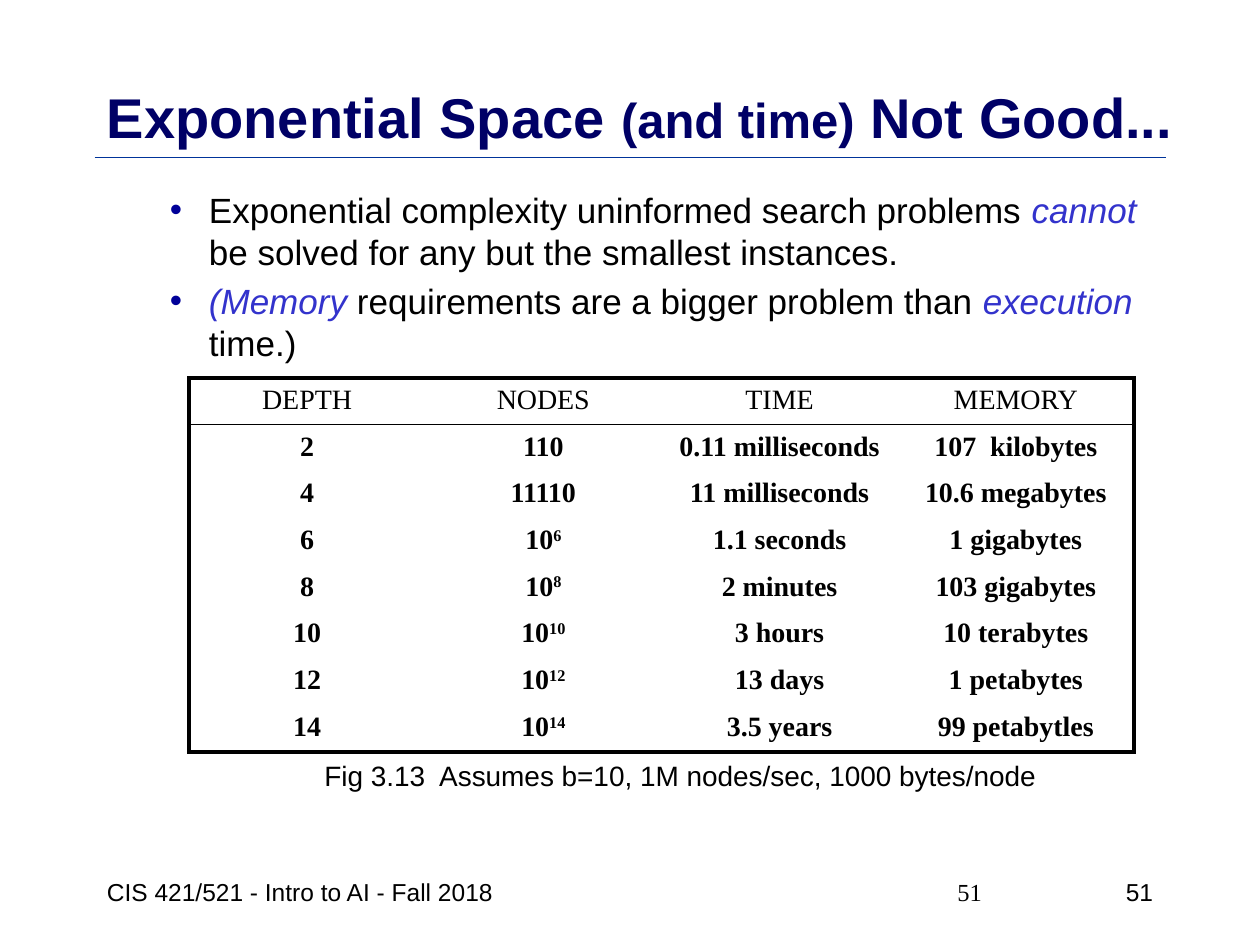
from lxml import etree
from pptx import Presentation
from pptx.dml.color import RGBColor
from pptx.enum.shapes import MSO_CONNECTOR
from pptx.enum.text import MSO_ANCHOR, PP_ALIGN
from pptx.oxml.ns import qn
from pptx.util import Inches, Pt

STRAIGHT = MSO_CONNECTOR.STRAIGHT
LEFT, CENTER, RIGHT = PP_ALIGN.LEFT, PP_ALIGN.CENTER, PP_ALIGN.RIGHT
TOP, MIDDLE = MSO_ANCHOR.TOP, MSO_ANCHOR.MIDDLE
SANS, SERIF = "Arial", "Times New Roman"

COLORS = {
    "text": "000000",
    "title": "000066",
    "rule": "003399",
    "bullet": "000099",
    "emphasis": "3333CC",
}
EMPHASIS = {"color": "emphasis", "italic": True}
FRAME_WIDTH, HEADER_RULE_WIDTH = 2.25, 1

TITLE = [("Exponential Space ", {}), ("(and time)", {"size": 28}), (" Not Good...", {})]
BULLETS = [
    [("Exponential complexity uninformed search problems ", {}),
     ("cannot ", EMPHASIS),
     ("be solved for any but the smallest instances.", {})],
    [("(Memory ", EMPHASIS),
     ("requirements are a bigger problem than ", {}),
     ("execution ", EMPHASIS),
     ("time.)", {})],
]
# "^" marks the start of an exponent
COSTS = [
    ("DEPTH", "NODES", "TIME", "MEMORY"),
    ("2", "110", "0.11 milliseconds", "107  kilobytes"),
    ("4", "11110", "11 milliseconds", "10.6 megabytes"),
    ("6", "10^6", "1.1 seconds", "1 gigabytes"),
    ("8", "10^8", "2 minutes", "103 gigabytes"),
    ("10", "10^10", "3 hours", "10 terabytes"),
    ("12", "10^12", "13 days", "1 petabytes"),
    ("14", "10^14", "3.5 years", "99 petabytles"),
]


def rgb(name):
    return RGBColor.from_string(COLORS[name])


def add_run(paragraph, text, size=16, font=SANS, color="text", bold=False,
            italic=False, superscript=False):
    run = paragraph.add_run()
    run.text = text
    run.font.size = Pt(size)
    run.font.name = font
    run.font.bold = bold
    run.font.italic = italic
    run.font.color.rgb = rgb(color)
    if superscript:
        run.font._element.set("baseline", "30000")


def add_text(slide, paragraphs, left, top, width, height, align=LEFT,
             anchor=MIDDLE, bullets=False, wrap=True, **style):
    """Each paragraph is a list of (text, format changes) pairs."""
    frame = slide.shapes.add_textbox(
        Inches(left), Inches(top), Inches(width), Inches(height)).text_frame
    frame.word_wrap = wrap
    frame.vertical_anchor = anchor
    for index, runs in enumerate(paragraphs):
        paragraph = frame.paragraphs[0] if index == 0 else frame.add_paragraph()
        paragraph.alignment = align
        if bullets:
            add_bullet(paragraph)
            if index:
                paragraph.space_before = Pt(4)
        for text, changes in runs:
            add_run(paragraph, text, **{**style, **changes})


def add_bullet(paragraph):
    properties = paragraph._p.get_or_add_pPr()
    properties.set("marL", str(Inches(0.81)))
    properties.set("indent", str(Inches(-0.31)))
    color = etree.SubElement(properties, qn("a:buClr"))
    etree.SubElement(color, qn("a:srgbClr"), val=COLORS["bullet"])
    etree.SubElement(properties, qn("a:buFont"), typeface=SANS)
    etree.SubElement(properties, qn("a:buChar"), char="•")


def add_rule(slide, left, right, y):
    rule = slide.shapes.add_connector(
        STRAIGHT, Inches(left), Inches(y), Inches(right), Inches(y))
    rule.line.color.rgb = rgb("rule")
    rule.line.width = Pt(1)
    etree.SubElement(rule._element.spPr, qn("a:effectLst"))


def set_borders(cell, widths):
    """Draw the sides that have a width and clear the others."""
    properties = cell._tc.get_or_add_tcPr()
    for side in "LRTB":
        border = etree.SubElement(properties, qn(f"a:ln{side}"))
        if side in widths:
            border.set("w", str(Pt(widths[side])))
            fill = etree.SubElement(border, qn("a:solidFill"))
            etree.SubElement(fill, qn("a:srgbClr"), val=COLORS["text"])
        else:
            etree.SubElement(border, qn("a:noFill"))


def border_widths(row, column, last_row, last_column):
    widths = {}
    if column == 0:
        widths["L"] = FRAME_WIDTH
    if column == last_column:
        widths["R"] = FRAME_WIDTH
    if row <= 1:
        widths["T"] = FRAME_WIDTH if row == 0 else HEADER_RULE_WIDTH
    if row == 0:
        widths["B"] = HEADER_RULE_WIDTH
    if row == last_row:
        widths["B"] = FRAME_WIDTH
    return widths


def add_cost_table(slide, left, top, width, height):
    row_count, column_count = len(COSTS), len(COSTS[0])
    table = slide.shapes.add_table(
        row_count, column_count,
        Inches(left), Inches(top), Inches(width), Inches(height)).table
    table.first_row = False
    table.horz_banding = False
    for row, values in enumerate(COSTS):
        for column, value in enumerate(values):
            cell = table.cell(row, column)
            set_borders(cell, border_widths(row, column, row_count - 1, column_count - 1))
            cell.fill.background()
            paragraph = cell.text_frame.paragraphs[0]
            paragraph.alignment = CENTER
            base, _, exponent = value.partition("^")
            add_run(paragraph, base, font=SERIF, bold=row > 0)
            if exponent:
                add_run(paragraph, exponent, font=SERIF, bold=True, superscript=True)


def main():
    prs = Presentation()
    prs.slide_width, prs.slide_height = Inches(10), Inches(7.5)
    slide = prs.slides.add_slide(prs.slide_layouts[6])

    # Heading
    add_rule(slide, 0.75, 9.25, 1.25)
    add_text(slide, [TITLE], 0.75, 0.67, 8.75, 0.5, size=32, color="title", bold=True)

    # Body
    add_text(slide, BULLETS, 0.75, 1.45, 8.5, 1.5, anchor=TOP, bullets=True, size=20)
    add_cost_table(slide, 1.5, 3, 7.5, 2.97)
    add_text(slide, [[("Fig 3.13  Assumes b=10, 1M nodes/sec, 1000 bytes/node", {})]],
             1.65, 5.97, 7.5, 0.37, align=CENTER)

    # Footer
    add_text(slide, [[("CIS 421/521 - Intro to AI - Fall 2018", {})]],
             0.75, 6.83, 3.5, 0.5, size=14)
    add_text(slide, [[("51", {})]], 7.5, 6.83, 0.6, 0.5, size=14, font=SERIF)
    add_text(slide, [[("51", {})]], 8.25, 6.83, 1, 0.5, size=14, align=RIGHT)

    prs.save("out.pptx")


if __name__ == "__main__":
    main()
